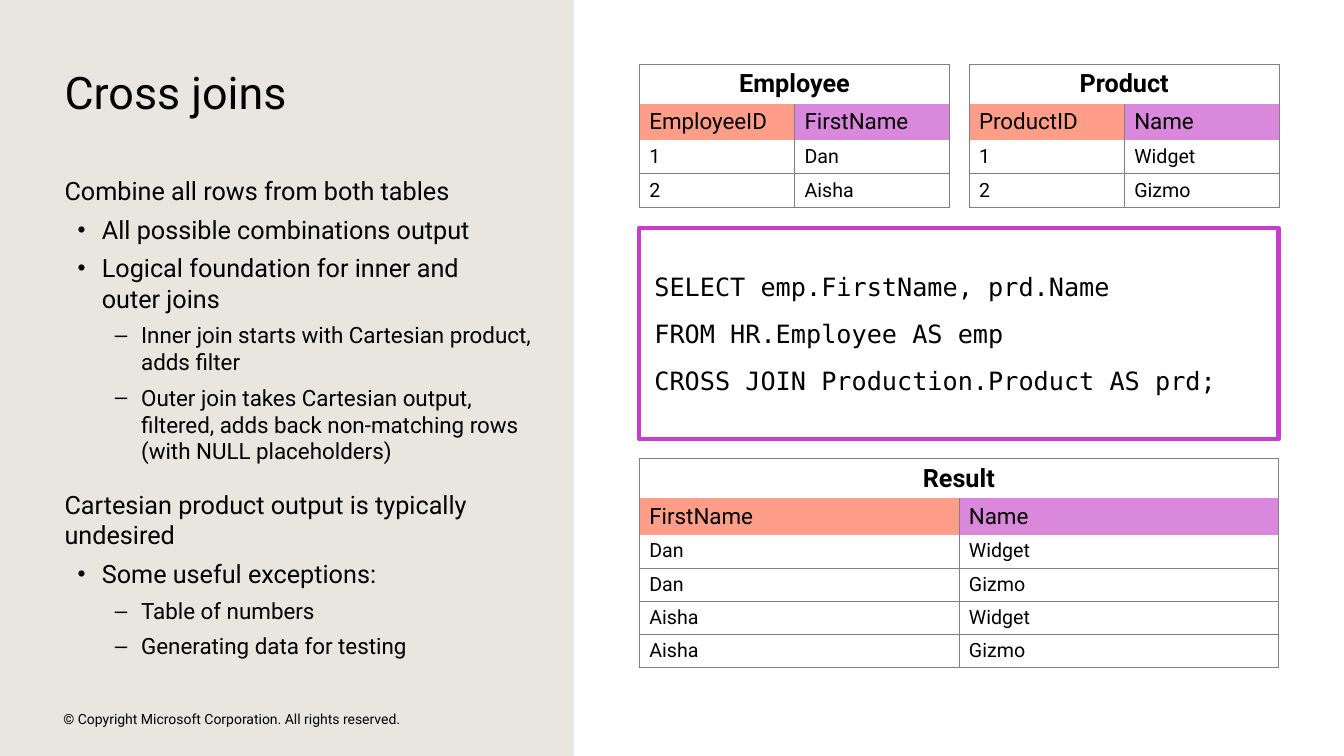
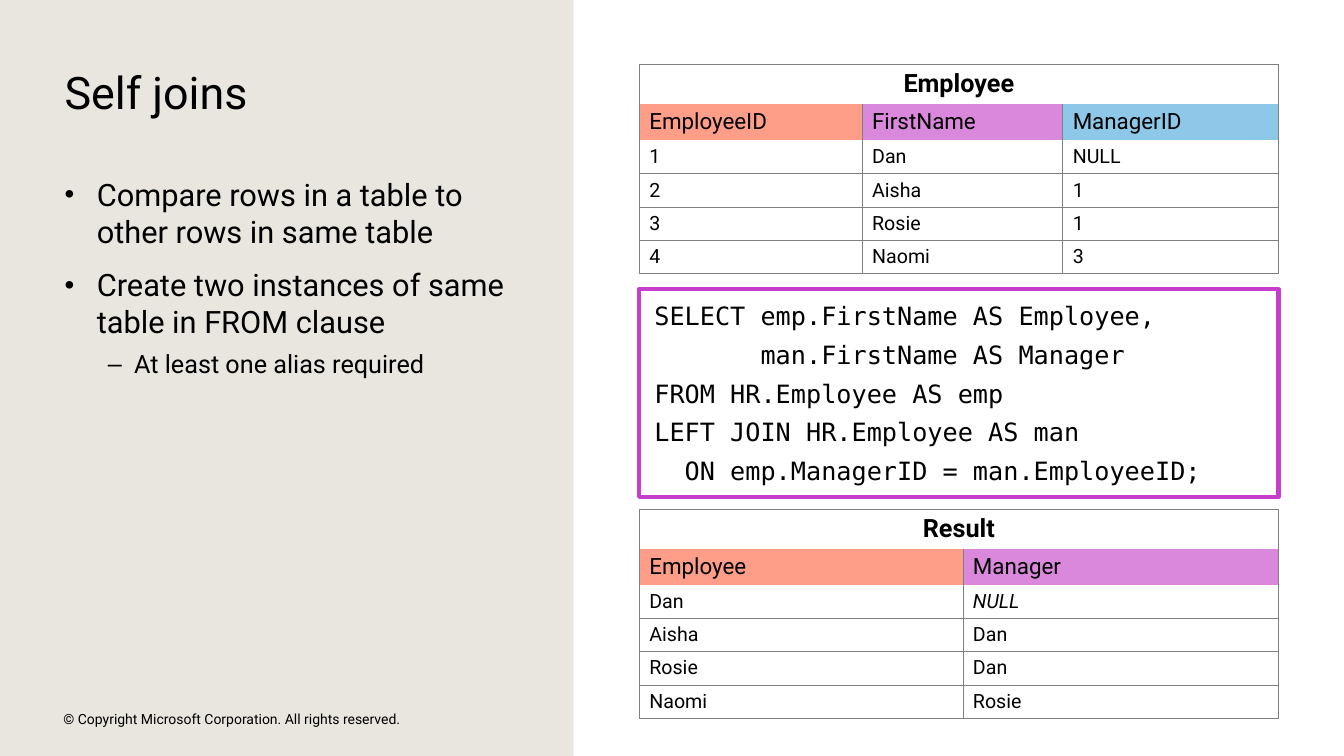
"""Build two slides on cross joins and self joins."""
import pptx
import pptx.dml.color
import pptx.enum.shapes
import pptx.enum.text
import pptx.oxml
import pptx.oxml.ns
import pptx.util

Inches = pptx.util.Inches
Pt = pptx.util.Pt
SANS = "Roboto"
MONO = "DejaVu Sans Mono"
BLACK = "000000"
WHITE = "FFFFFF"
SAND = "E8E6DF"
GRAY = "808080"
PURPLE = "C73ECC"
HEADS = ["FE9D88", "D988DC", "8DC8E8"]
LEFT = 6.34
WIDE = 6.34
EDGE = 0.64
NS = pptx.oxml.ns.nsdecls("a")


def paint(part, tone):
    """Give a fill or line fill a solid colour."""
    part.solid()
    part.fore_color.rgb = pptx.dml.color.RGBColor.from_string(tone)


def style(para, size, after=0, before=0, name=SANS, **more):
    """Format a paragraph and its font."""
    para.space_before, para.space_after = Pt(before), Pt(after)
    look = {"size": Pt(size), "name": name, "bold": False, **more}
    for font in [para.font] + [run.font for run in para.runs]:
        for key, value in look.items():
            setattr(font, key, value)
        paint(font.fill, BLACK)


KINDS = {
    "lead": dict(level=0, left=0, hang=0, mark="", size=18),
    "item": dict(level=1, left=0.37, hang=0.24, mark="•", size=18),
    "sub": dict(level=2, left=0.76, hang=0.26, mark="–", size=16),
    "point": dict(level=0, left=0.32, hang=0.32, mark="•", size=22),
    "note": dict(level=1, left=0.69, hang=0.26, mark="–", size=18),
}

PAGES = [
    {
        "title": "Cross joins",
        "body": (4.65, 4.85),
        "list": [
            ("lead", 0, 6, "Combine all rows from both tables"),
            ("item", 0, 6, "All possible combinations output"),
            ("item", 0, 6, "Logical foundation for inner and\vouter joins"),
            ("sub", 0, 6, "Inner join starts with Cartesian product,\vadds filter"),
            ("sub", 0, 6, "Outer join takes Cartesian output, filtered, adds back "
             "non-matching rows (with NULL placeholders)"),
            ("lead", 12, 6, "Cartesian product output is typically undesired"),
            ("item", 0, 6, "Some useful exceptions:"),
            ("sub", 0, 6, "Table of numbers"),
            ("sub", 0, 6, "Generating data for testing"),
        ],
        "code": (2.26, 2.1, 12, [
            "SELECT emp.FirstName, prd.Name",
            "FROM HR.Employee AS emp",
            "CROSS JOIN Production.Product AS prd;",
        ]),
        "tables": [
            (LEFT, EDGE, [1.54, 1.54], "Employee", [
                ["EmployeeID", "FirstName"], ["1", "Dan"], ["2", "Aisha"]]),
            (9.61, EDGE, [1.54, 1.54], "Product", [
                ["ProductID", "Name"], ["1", "Widget"], ["2", "Gizmo"]]),
            (LEFT, 4.55, [3.17, 3.17], "Result", [
                ["FirstName", "Name"], ["Dan", "Widget"], ["Dan", "Gizmo"],
                ["Aisha", "Widget"], ["Aisha", "Gizmo"]]),
        ],
    },
    {
        "title": "Self joins",
        "body": (4.42, 2.04),
        "list": [
            ("point", 0, 12, "Compare rows in a table to other rows in same table"),
            ("point", 0, 6, "Create two instances of same table in FROM clause"),
            ("note", 0, 12, "At least one alias required"),
        ],
        "code": (2.87, 2.06, 6, [
            "SELECT emp.FirstName AS Employee,",
            "       man.FirstName AS Manager",
            "FROM HR.Employee AS emp",
            "LEFT JOIN HR.Employee AS man",
            "  ON emp.ManagerID = man.EmployeeID;",
        ]),
        "tables": [
            (LEFT, EDGE, [2.21, 1.99, 2.14], "Employee", [
                ["EmployeeID", "FirstName", "ManagerID"],
                ["1", "Dan", "NULL"], ["2", "Aisha", "1"],
                ["3", "Rosie", "1"], ["4", "Naomi", "3"]]),
            (LEFT, 5.05, [3.21, 3.13], "Result", [
                ["Employee", "Manager"], ["Dan", "NULL"], ["Aisha", "Dan"],
                ["Rosie", "Dan"], ["Naomi", "Rosie"]]),
        ],
    },
]

deck = pptx.Presentation()
deck.slide_width, deck.slide_height = Inches(13.33), Inches(7.5)
layout = deck.slide_layouts[1]
paint(layout.background.fill, SAND)
slides = [deck.slides.add_slide(layout) for page in PAGES]

panel = slides[0].shapes.add_shape(
    pptx.enum.shapes.MSO_SHAPE.RECTANGLE,
    Inches(5.69), 0, Inches(7.64), Inches(7.5))
panel.shadow.inherit = False
paint(panel.fill, WHITE)
panel.line.fill.background()
footer = slides[0].shapes.add_textbox(
    Inches(0.63), Inches(7.02), Inches(4.54), Inches(0.22))
footer.text_frame.text = "© Copyright Microsoft Corporation. All rights reserved."
style(footer.text_frame.paragraphs[0], 10)
for shape in (panel, footer):
    layout.shapes.element.append(shape.element)

for slide, page in zip(slides, PAGES):
    title, body = slide.shapes.title, slide.placeholders[1]
    for shape, top, size in ((title, EDGE, (4.42, 0.54)), (body, 1.74, page["body"])):
        shape.left, shape.top = Inches(EDGE), Inches(top)
        shape.width, shape.height = Inches(size[0]), Inches(size[1])
    title.text_frame.text = page["title"]
    style(title.text_frame.paragraphs[0], 32)
    title.text_frame.paragraphs[0].alignment = pptx.enum.text.PP_ALIGN.LEFT

    frame = body.text_frame
    for num, (kind, before, after, text) in enumerate(page["list"]):
        para = frame.add_paragraph() if num else frame.paragraphs[0]
        para.text = text
        form = KINDS[kind]
        para.level = form["level"]
        props = para._p.get_or_add_pPr()
        props.set("marL", str(Inches(form["left"])))
        props.set("indent", str(-Inches(form["hang"])))
        if form["mark"] == "•":
            props.append(pptx.oxml.parse_xml(f'<a:buSzPct {NS} val="90000"/>'))
        bullet = f'buChar {NS} char="{form["mark"]}"' if form["mark"] else f"buNone {NS}"
        props.append(pptx.oxml.parse_xml(f"<a:{bullet}/>"))
        style(para, form["size"], after, before)

    top, high, gap, lines = page["code"]
    box = slide.shapes.add_shape(
        pptx.enum.shapes.MSO_SHAPE.RECTANGLE,
        Inches(LEFT), Inches(top), Inches(WIDE), Inches(high))
    box.shadow.inherit = False
    paint(box.fill, WHITE)
    paint(box.line.fill, PURPLE)
    box.line.width = Pt(3)
    code = box.text_frame
    for num, text in enumerate(lines):
        para = code.add_paragraph() if num else code.paragraphs[0]
        para.text = text
        para.alignment = pptx.enum.text.PP_ALIGN.LEFT
        style(para, 18, gap, name=MONO)

    anchor = pptx.enum.text.MSO_ANCHOR
    for shape, side, edge, place in (
            (title, 0, 0, anchor.TOP), (body, 0, 0, anchor.TOP),
            (box, 0.15, 0.1, anchor.MIDDLE)):
        setup = {
            "margin_left": Inches(side), "margin_right": Inches(side),
            "margin_top": Inches(edge), "margin_bottom": Inches(edge),
            "vertical_anchor": place, "word_wrap": True,
            "auto_size": pptx.enum.text.MSO_AUTO_SIZE.NONE,
        }
        for key, value in setup.items():
            setattr(shape.text_frame, key, value)

    for left, top, widths, name, rows in page["tables"]:
        highs = [0.39, 0.36] + [0.33] * (len(rows) - 1)
        grid = slide.shapes.add_table(
            len(highs), len(widths), Inches(left), Inches(top),
            Inches(sum(widths)), Inches(sum(highs))).table
        grid.first_row = grid.horz_banding = False
        for col, width in zip(grid.columns, widths):
            col.width = Inches(width)
        for row, high in zip(grid.rows, highs):
            row.height = Inches(high)
        grid.cell(0, 0).merge(grid.cell(0, len(widths) - 1))
        texts = [[name] + [""] * (len(widths) - 1)] + rows
        for r, row in enumerate(texts):
            for c, text in enumerate(row):
                cell = grid.cell(r, c)
                sides = {"L": True, "R": True, "T": r not in (1, 2), "B": r > 1}
                for side, shown in sides.items():
                    ink = (f'<a:solidFill><a:srgbClr val="{GRAY}"/></a:solidFill>'
                           if shown else "<a:noFill/>")
                    cell._tc.get_or_add_tcPr().append(pptx.oxml.parse_xml(
                        f'<a:ln{side} {NS} w="{Pt(0.5)}">{ink}</a:ln{side}>'))
                if r == 1:
                    paint(cell.fill, HEADS[c])
                else:
                    cell.fill.background()
                if text:
                    cell.text = text
                    para = cell.text_frame.paragraphs[0]
                    style(para, {0: 18, 1: 16}.get(r, 14), bold=r == 0,
                          italic=name == "Result" and text == "NULL")
                    if r == 0:
                        para.alignment = pptx.enum.text.PP_ALIGN.CENTER

foot = {"margin_left": 0, "margin_right": 0, "margin_top": 0, "margin_bottom": 0,
        "word_wrap": True, "vertical_anchor": pptx.enum.text.MSO_ANCHOR.MIDDLE}
for key, value in foot.items():
    setattr(footer.text_frame, key, value)

deck.save("out.pptx")
